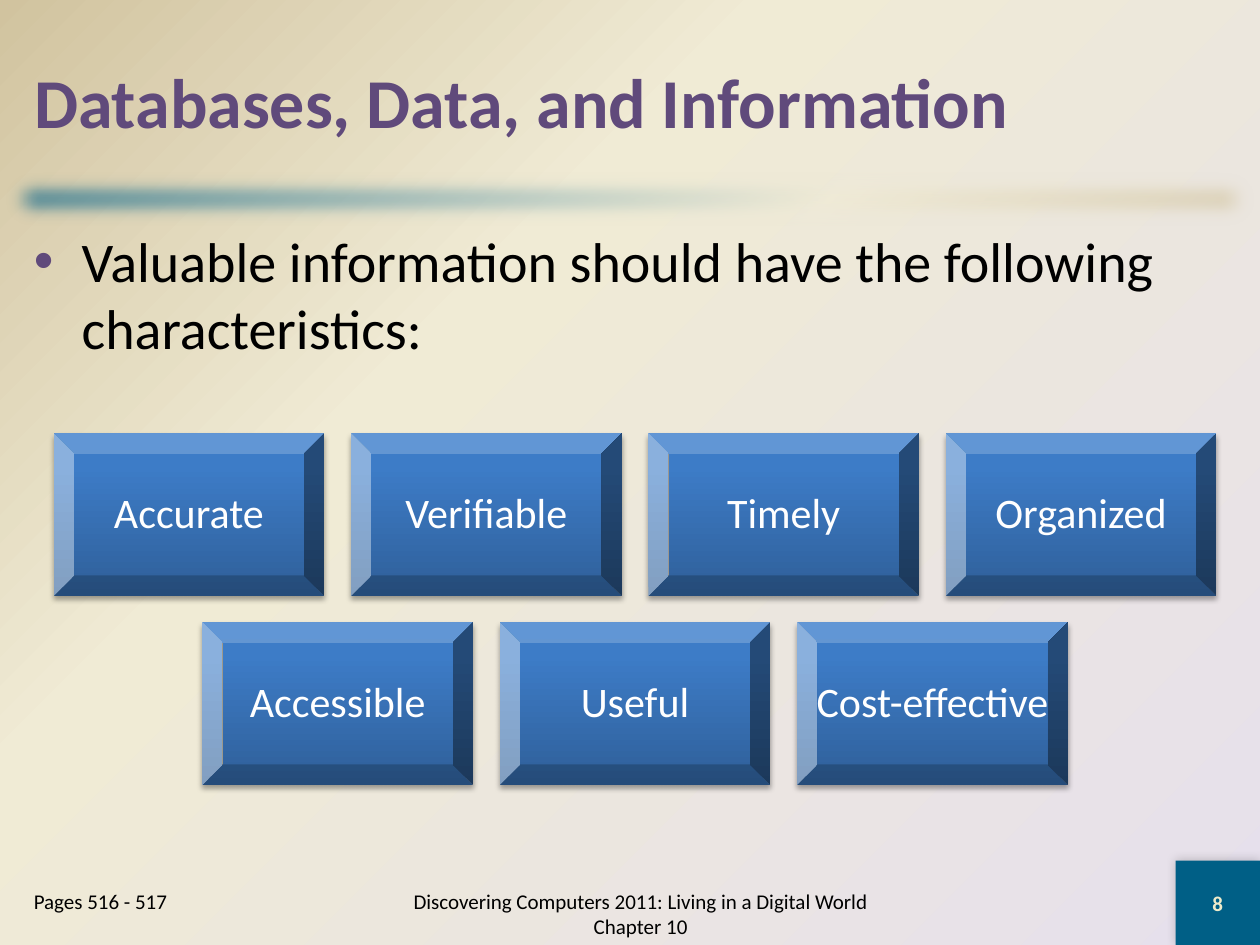
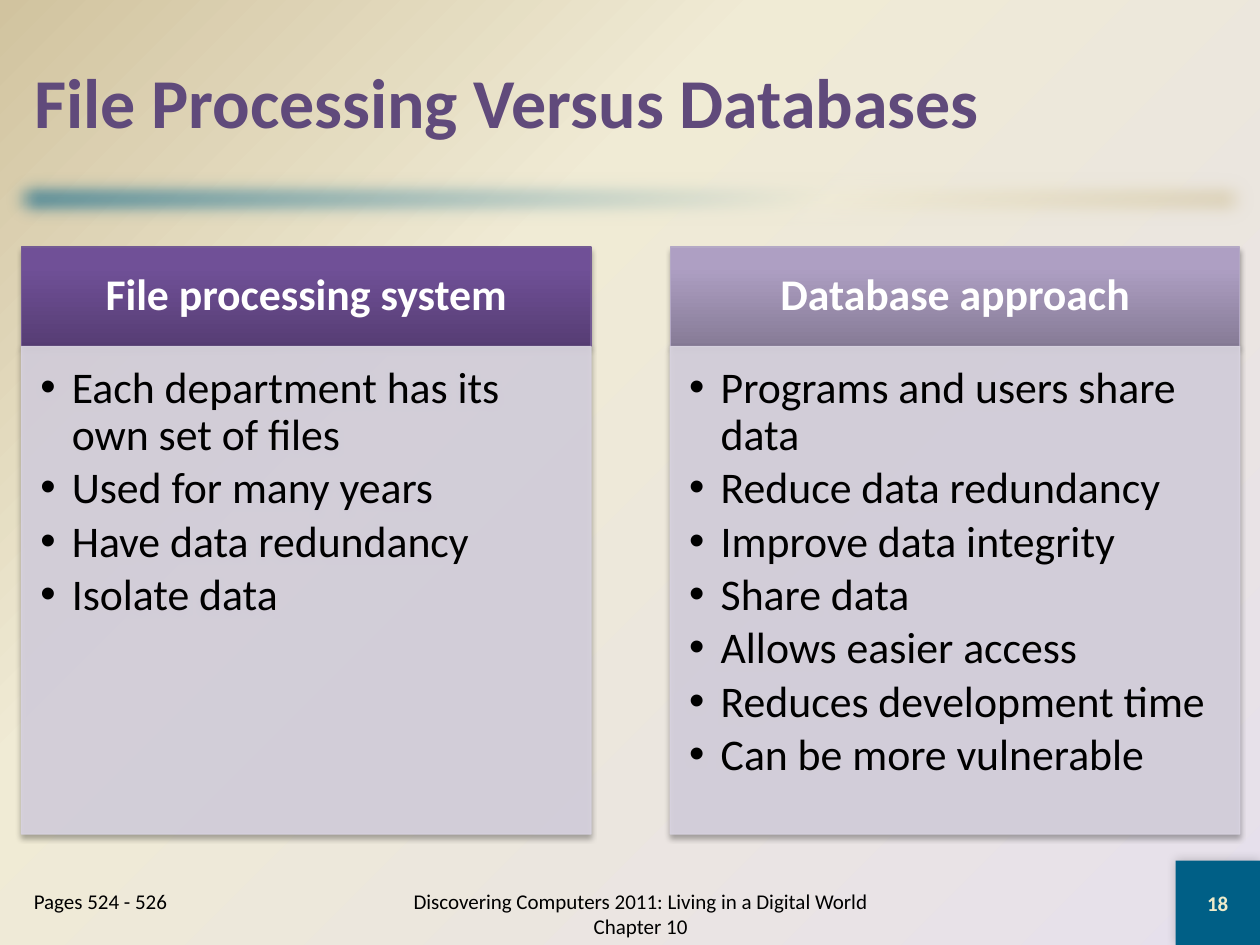
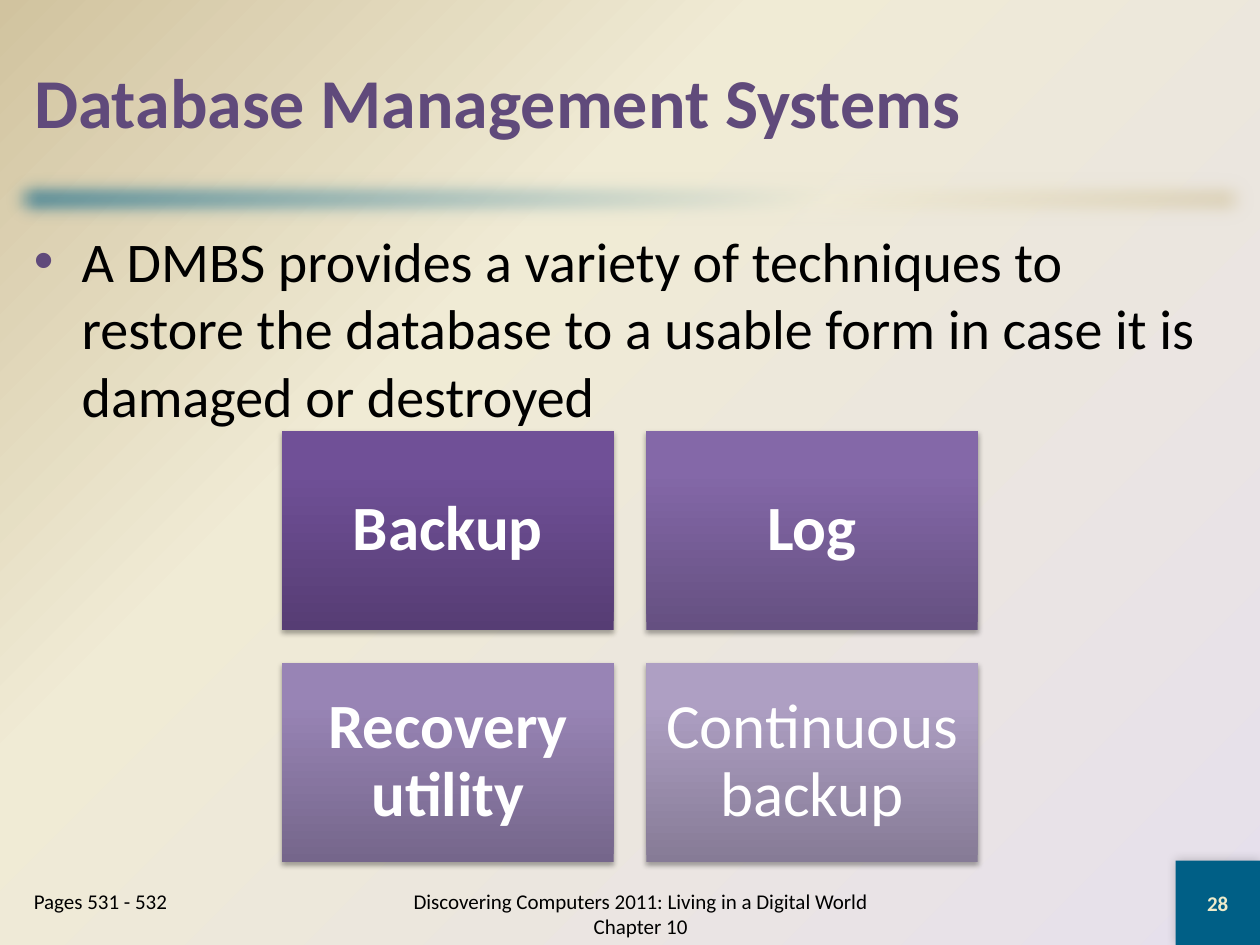
from dataclasses import dataclass

from pptx import Presentation
from pptx import util as u
from pptx.dml.color import RGBColor
from pptx.enum import shapes, text
from pptx.oxml import parse_xml
from pptx.oxml.ns import nsdecls, qn

ALIGN = text.PP_ALIGN
ANCHOR = text.MSO_ANCHOR
SHAPE = shapes.MSO_SHAPE


@dataclass(frozen=True)
class Theme:
    font: str = "Calibri"
    title_size: int = 40
    body_size: int = 32
    tile_size: int = 36
    column_size: int = 25
    button_size: int = 24
    footer_size: int = 12
    purple: str = "604A7B"
    teal: str = "005F86"
    cream: str = "EEEBCA"
    black: str = "000000"
    white: str = "FFFFFF"
    panel: str = "D8D3E0"
    background: tuple = ((0, "E6E0EC"), (65, "F0EBD5"), (100, "D1C39F"))
    band: tuple = ((0, "005F86"), (65, "F0EBD5"), (100, "D1C39F"))
    blue: tuple = ((0, "2F5F99"), (80, "3D7CC7"), (100, "3A7CCB"))
    # Purples from darkest to palest
    purples: tuple = (
        ((0, "563D74"), (80, "705097"), (100, "704F99")),
        ((0, "655081"), (80, "8468A8"), (100, "8467AA")),
        ((0, "75668B"), (80, "9884B5"), (100, "9984B7")),
        ((0, "867B96"), (80, "AE9FC3"), (100, "AE9FC4")),
    )


THEME = Theme()
BOOK = "Discovering Computers 2011: Living in a Digital World Chapter 10"
UPWARD = '<a:lin {ns} ang="16200000" scaled="0"/>'
DIAGONAL = '<a:lin {ns} ang="2700000" scaled="0"/>'
FROM_CORNER = ('<a:path {ns} path="circle">'
               '<a:fillToRect l="100000" t="100000"/></a:path>')


def drawing_xml(template):
    return parse_xml(template.replace("{ns}", nsdecls("a")))


def set_gradient(fill, owner, stops, direction):
    """Fill with any number of stops; owner is the XML element holding the fill."""
    fill.gradient()
    gradient = owner.xpath(".//a:gradFill")[0]
    for child in list(gradient):
        gradient.remove(child)
    stop_xml = "".join(
        f'<a:gs pos="{position * 1000}"><a:srgbClr val="{color}"/></a:gs>'
        for position, color in stops)
    gradient.append(drawing_xml("<a:gsLst {ns}>" + stop_xml + "</a:gsLst>"))
    gradient.append(drawing_xml(direction))


def add_effect(shape, template):
    shape.element.spPr.find(qn("a:effectLst")).append(drawing_xml(template))


def add_shadow(shape, opacity=35, blur=3.1, distance=1.8, angle=90):
    add_effect(shape, (
        f'<a:outerShdw {{ns}} blurRad="{u.Pt(blur)}" dist="{u.Pt(distance)}" '
        f'dir="{angle * 60000}" rotWithShape="0"><a:srgbClr val="{THEME.black}">'
        f'<a:alpha val="{opacity * 1000}"/></a:srgbClr></a:outerShdw>'))


def set_opacity(shape, percent):
    for color in shape.element.spPr.xpath(".//a:srgbClr"):
        color.append(drawing_xml(f'<a:alpha {{ns}} val="{percent * 1000}"/>'))


def set_frame(shape, anchor=ANCHOR.MIDDLE, insets=(0.1, 0.05, 0.1, 0.05), wrap=True):
    frame = shape.text_frame
    frame.word_wrap = wrap
    frame.auto_size = text.MSO_AUTO_SIZE.NONE
    frame.vertical_anchor = anchor
    (frame.margin_left, frame.margin_top,
     frame.margin_right, frame.margin_bottom) = map(u.Inches, insets)
    return frame


def write(paragraph, words, size, color, bold=False, align=ALIGN.LEFT):
    paragraph.alignment = align
    run = paragraph.add_run()
    run.text = words
    run.font.name = THEME.font
    run.font.size = u.Pt(size)
    run.font.bold = bold
    run.font.color.rgb = RGBColor.from_string(color)


def set_bullet(paragraph, indent, color):
    properties = paragraph._p.get_or_add_pPr()
    properties.set("marL", str(u.Inches(indent)))
    properties.set("indent", str(-u.Inches(indent)))
    for template in (f'<a:buClr {{ns}}><a:srgbClr val="{color}"/></a:buClr>',
                     '<a:buFont {ns} typeface="Arial"/>',
                     '<a:buChar {ns} char="•"/>'):
        properties.append(drawing_xml(template))


def add_box(slide, kind, box, fill, line=None, direction=UPWARD):
    """Add a shape; fill is one colour or a tuple of gradient stops."""
    shape = slide.shapes.add_shape(kind, *map(u.Inches, box))
    shape.shadow.inherit = False
    if isinstance(fill, str):
        shape.fill.solid()
        shape.fill.fore_color.rgb = RGBColor.from_string(fill)
    else:
        set_gradient(shape.fill, shape.element.spPr, fill, direction)
    if line:
        shape.line.color.rgb = RGBColor.from_string(line)
        shape.line.width = u.Pt(0.75)
    else:
        shape.line.fill.background()
    return shape


def add_label_box(slide, kind, box, fill, label, size, bold=False, line=None, wrap=True):
    shape = add_box(slide, kind, box, fill, line)
    add_shadow(shape)
    paragraph = set_frame(shape, insets=(0.1,) * 4, wrap=wrap).paragraphs[0]
    write(paragraph, label, size, THEME.white, bold, ALIGN.CENTER)
    paragraph.line_spacing = 0.9


def add_text(slide, box, words, size, anchor=ANCHOR.TOP, align=ALIGN.LEFT):
    shape = slide.shapes.add_textbox(*map(u.Inches, box))
    paragraph = set_frame(shape, anchor).paragraphs[0]
    write(paragraph, words, size, THEME.black, align=align)
    return paragraph


def add_intro(slide, words):
    paragraph = add_text(slide, (0.17, 1.75, 9.67, 5.08), words, THEME.body_size)
    set_bullet(paragraph, 0.38, THEME.purple)


def add_column(slide, left, heading, points, fill, outline):
    width = 4.52
    add_label_box(slide, SHAPE.RECTANGLE, (left, 1.96, width, 0.79), fill, heading,
                  THEME.column_size, bold=True, line=outline)
    panel = add_box(slide, SHAPE.RECTANGLE, (left, 2.75, width, 3.87),
                    THEME.panel, THEME.panel)
    set_opacity(panel, 90)
    add_shadow(panel)
    frame = set_frame(panel, ANCHOR.TOP, (0.15, 0.15, 0.19, 0.22))
    for index, point in enumerate(points):
        paragraph = frame.add_paragraph() if index else frame.paragraphs[0]
        set_bullet(paragraph, 0.25, THEME.black)
        write(paragraph, point, THEME.column_size, THEME.black)
        paragraph.line_spacing = 0.9
        paragraph.space_after = u.Pt(3.5)


def centered_lefts(count, width, gap, center):
    start = center - (count * width + (count - 1) * gap) / 2
    return [start + index * (width + gap) for index in range(count)]


def add_slide(presentation, title, pages, number):
    """Add a slide with the shared title, band, footers and number corner."""
    slide = presentation.slides.add_slide(presentation.slide_layouts[5])
    band = add_box(slide, SHAPE.RECTANGLE, (0, 1.33, 10, 0.5), THEME.band,
                   direction=DIAGONAL)
    add_effect(band, f'<a:softEdge {{ns}} rad="{u.Pt(12.5)}"/>')

    corner = add_box(slide, SHAPE.RECTANGLE, (9.33, 6.83, 0.67, 0.67), THEME.teal)
    add_shadow(corner, opacity=20, blur=6, distance=0, angle=225)
    write(set_frame(corner).paragraphs[0], number, THEME.footer_size, THEME.cream,
          True, ALIGN.CENTER)

    heading = slide.shapes.title
    heading.left, heading.top, heading.width, heading.height = map(
        u.Inches, (0.17, 0.17, 9.67, 1.25))
    write(set_frame(heading).paragraphs[0], title, THEME.title_size, THEME.purple, True)

    add_text(slide, (0.17, 7, 1.83, 0.5), pages, THEME.footer_size)
    add_text(slide, (3, 7, 4.17, 0.5), BOOK, THEME.footer_size,
             ANCHOR.MIDDLE, ALIGN.CENTER)
    return slide


def add_characteristics_slide(presentation):
    slide = add_slide(presentation, "Databases, Data, and Information",
                      "Pages 516 - 517", "8")
    add_intro(slide, "Valuable information should have the following characteristics:")
    rows = (("Accurate", "Verifiable", "Timely", "Organized"),
            ("Accessible", "Useful", "Cost-effective"))
    width, height, gap = 2.15, 1.29, 0.21
    for row, labels in enumerate(rows):
        top = 3.44 + row * (height + gap)
        for left, label in zip(centered_lefts(len(labels), width, gap, 5.04), labels):
            add_label_box(slide, SHAPE.BEVEL, (left, top, width, height), THEME.blue,
                          label, THEME.button_size, wrap=False)


def add_comparison_slide(presentation):
    slide = add_slide(presentation, "File Processing Versus Databases",
                      "Pages 524 - 526", "18")
    add_column(slide, 0.17, "File processing system",
               ("Each department has its own set of files", "Used for many years",
                "Have data redundancy", "Isolate data"),
               THEME.purples[0], "745B93")
    add_column(slide, 5.32, "Database approach",
               ("Programs and users share data", "Reduce data redundancy",
                "Improve data integrity", "Share data", "Allows easier access",
                "Reduces development time", "Can be more vulnerable"),
               THEME.purples[-1], "B4A9C5")


def add_recovery_slide(presentation):
    slide = add_slide(presentation, "Database Management Systems",
                      "Pages 531 - 532", "28")
    add_intro(slide, "A DMBS provides a variety of techniques to restore the database "
                     "to a usable form in case it is damaged or destroyed")
    techniques = (("Backup", True), ("Log", True),
                  ("Recovery utility", True), ("Continuous backup", False))
    width, height, gap = 2.63, 1.58, 0.26
    lefts = centered_lefts(2, width, gap, 5)
    for index, (label, bold) in enumerate(techniques):
        row, column = divmod(index, 2)
        box = (lefts[column], 3.42 + row * (height + gap), width, height)
        add_label_box(slide, SHAPE.RECTANGLE, box, THEME.purples[index], label,
                      THEME.tile_size, bold)


def main():
    presentation = Presentation()
    presentation.slide_width = u.Inches(10)
    presentation.slide_height = u.Inches(7.5)
    master = presentation.slide_master
    set_gradient(master.background.fill, master.element, THEME.background, FROM_CORNER)
    add_characteristics_slide(presentation)
    add_comparison_slide(presentation)
    add_recovery_slide(presentation)
    presentation.save("out.pptx")


if __name__ == "__main__":
    main()
